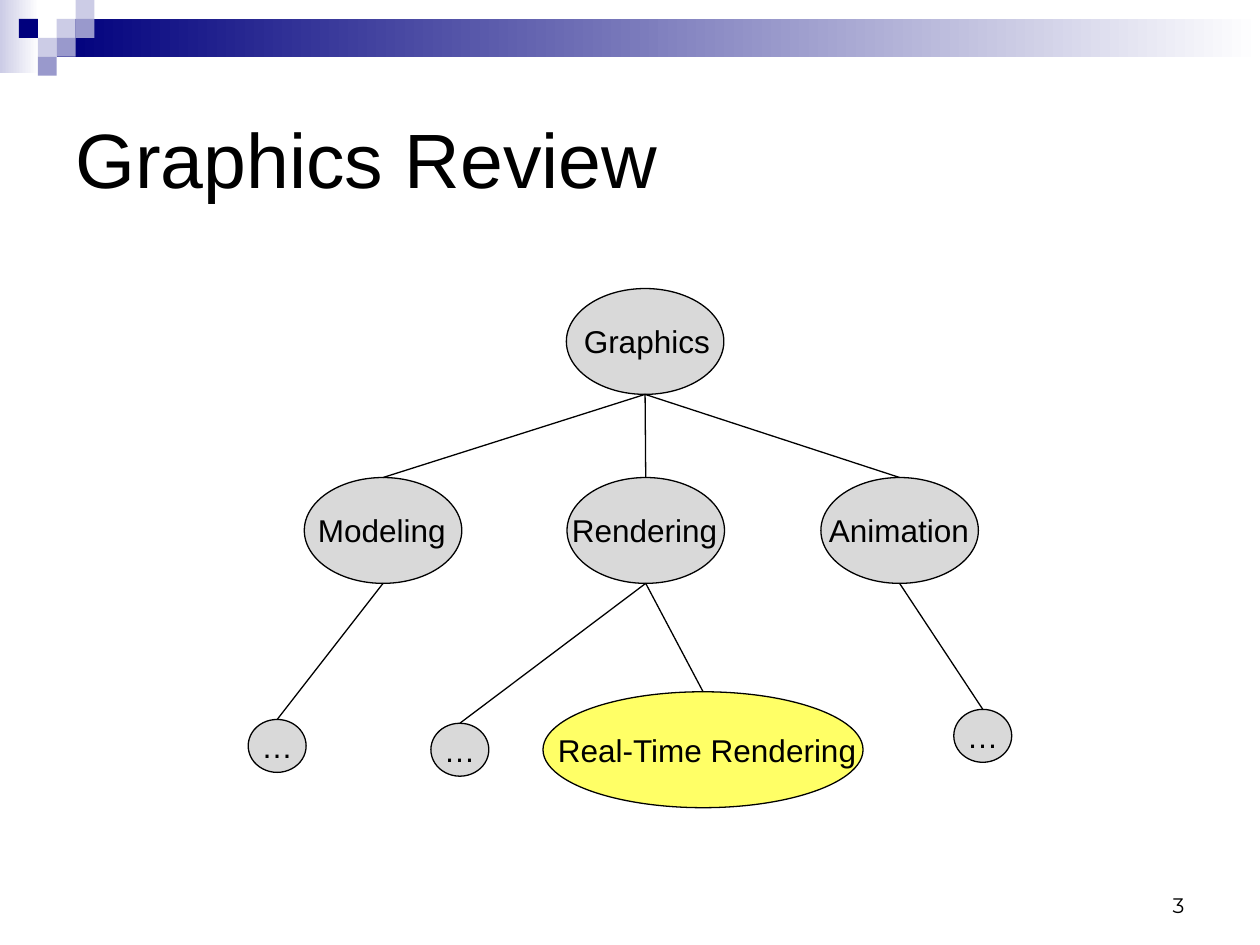
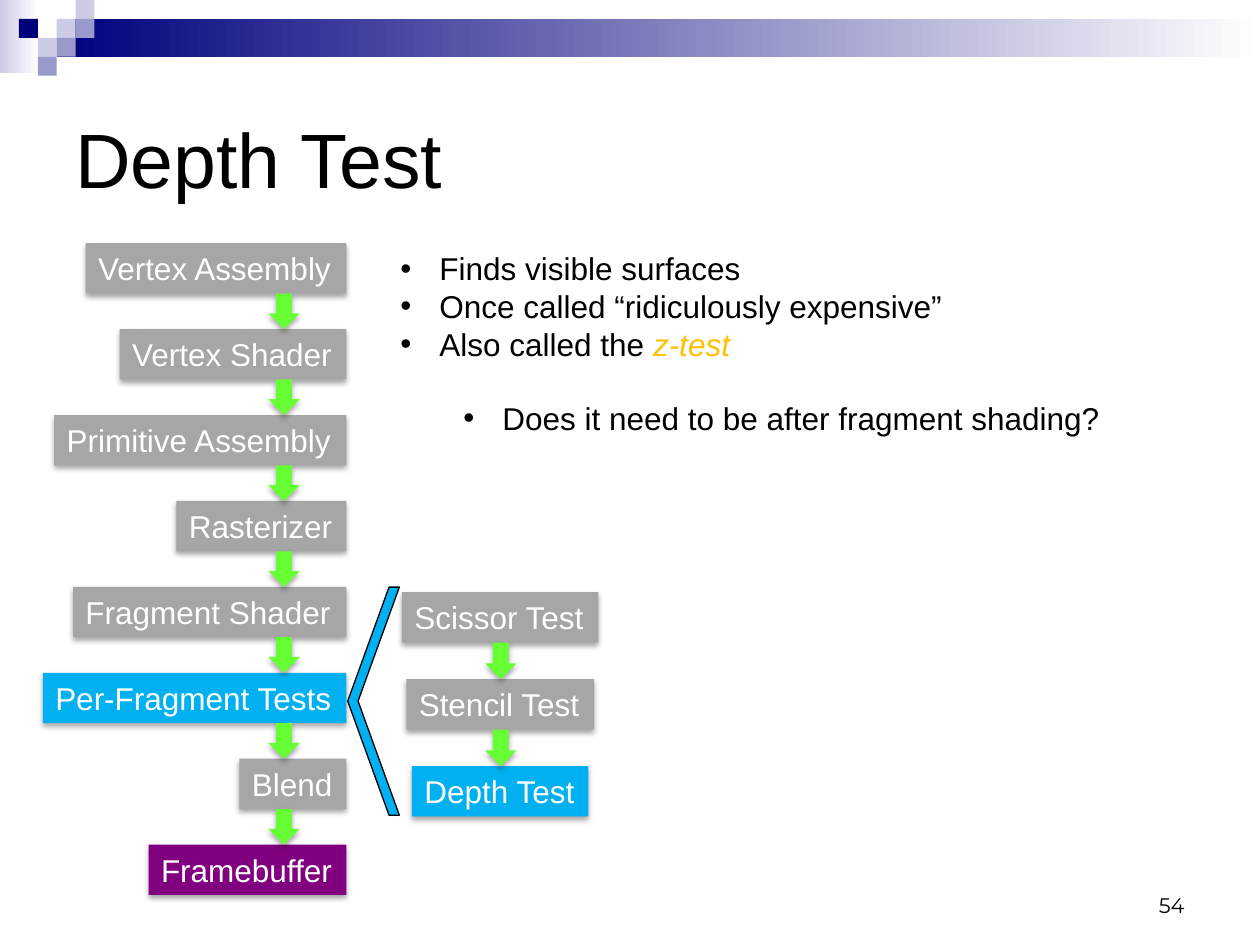
import lxml.etree
import pptx
import pptx.dml.color
import pptx.enum.shapes
import pptx.enum.text
import pptx.oxml.ns
import pptx.util

RGB = pptx.dml.color.RGBColor
BLACK = RGB(0x00, 0x00, 0x00)
WHITE = RGB(0xFF, 0xFF, 0xFF)
NAVY = RGB(0x00, 0x00, 0x7D)
LAVENDER = RGB(0xCC, 0xCC, 0xE6)
PERIWINKLE = RGB(0x99, 0x99, 0xCC)
LIGHT_GRAY = RGB(0xD9, 0xD9, 0xD9)
GRAY = RGB(0xA6, 0xA6, 0xA6)
YELLOW = RGB(0xFF, 0xFF, 0x66)
AMBER = RGB(0xFF, 0xC0, 0x00)
BLUE = RGB(0x00, 0xB0, 0xF0)
PURPLE = RGB(0x80, 0x00, 0x80)
GREEN = RGB(0x66, 0xFF, 0x33)

COLS, ROWS = 100, 75  # grid in which every position is given
LABEL_H = 4           # height of a one-line label, in rows
SHAPE = pptx.enum.shapes.MSO_SHAPE
ANCHOR = pptx.enum.text.MSO_ANCHOR
ALIGN = pptx.enum.text.PP_ALIGN
qn = pptx.oxml.ns.qn


def add_run(p, text, size=18, color=BLACK, font="Arial", italic=False):
    r = p.add_run()
    r.text = text
    r.font.size = pptx.util.Pt(size)
    r.font.name = font
    r.font.italic = italic
    r.font.color.rgb = color


class Deck:
    """Holds the shared style and the slide being drawn."""

    def __init__(self):
        self.prs = pptx.Presentation()
        self.prs.slide_width = pptx.util.Inches(10)
        self.prs.slide_height = pptx.util.Inches(7.5)
        self.slide = None

    def grid(self, x, y):
        return (round(x * self.prs.slide_width / COLS),
                round(y * self.prs.slide_height / ROWS))

    def new_slide(self, title, number):
        self.slide = self.prs.slides.add_slide(self.prs.slide_layouts[6])
        # Gradient bands and the small squares at the top left
        self.shape(SHAPE.RECTANGLE, 0, 0, 3.1, 5.8, [LAVENDER, WHITE])
        self.shape(SHAPE.RECTANGLE, 4.5, 1.5, 95.5, 3, [NAVY, WHITE])
        side = 1.5
        squares = {LAVENDER: [(3, 1), (4, 0), (2, 2)],
                   PERIWINKLE: [(4, 1), (3, 2), (2, 3)],
                   NAVY: [(1, 1)]}
        for color, cells in squares.items():
            for col, row in cells:
                self.shape(SHAPE.RECTANGLE, col * side, row * side, side, side, color)
        # Title and slide number
        tf = self.text_box(5, 5, 90, 15, anchor=ANCHOR.MIDDLE)
        add_run(tf.paragraphs[0], title, size=44)
        tf = self.text_box(71.7, 68.3, 23.3, 5, anchor=ANCHOR.BOTTOM)
        tf.paragraphs[0].alignment = ALIGN.RIGHT
        add_run(tf.paragraphs[0], str(number), size=12, font="Montserrat")

    def shape(self, kind, x, y, w, h, fill, outline=False, shadow=False):
        """Preset shape; fill is one colour, or a list of two for a gradient."""
        sp = self.slide.shapes.add_shape(kind, *self.grid(x, y), *self.grid(w, h))
        if isinstance(fill, list):
            sp.fill.gradient()
            sp.fill.gradient_angle = 0
            for stop, color in zip(sp.fill.gradient_stops, fill):
                stop.color.rgb = color
        else:
            sp.fill.solid()
            sp.fill.fore_color.rgb = fill
        if outline:
            sp.line.color.rgb = BLACK
            sp.line.width = pptx.util.Pt(0.75)
        else:
            sp.line.fill.background()
        sp.shadow.inherit = False
        if shadow:
            effects = sp._element.spPr.find(qn("a:effectLst"))
            outer = lxml.etree.SubElement(effects, qn("a:outerShdw"), blurRad="40000",
                                          dist="23000", dir="5400000", rotWithShape="0")
            color = lxml.etree.SubElement(outer, qn("a:srgbClr"), val=str(BLACK))
            lxml.etree.SubElement(color, qn("a:alpha"), val="35000")
        return sp

    def text_box(self, x, y, w, h, anchor=ANCHOR.TOP, wrap=True):
        sp = self.slide.shapes.add_textbox(*self.grid(x, y), *self.grid(w, h))
        tf = sp.text_frame
        tf.word_wrap = wrap
        tf.vertical_anchor = anchor
        return tf

    def line(self, start, end):
        cx = self.slide.shapes.add_connector(
            pptx.enum.shapes.MSO_CONNECTOR.STRAIGHT, *self.grid(*start), *self.grid(*end))
        cx.line.color.rgb = BLACK
        cx.line.width = pptx.util.Pt(0.75)
        lxml.etree.SubElement(cx._element.spPr, qn("a:effectLst"))

    def node(self, text, cx, y, w, h, label_w, fill=LIGHT_GRAY, shift=0):
        """Ellipse with a centred label; returns its top and bottom points."""
        self.shape(SHAPE.OVAL, cx - w / 2, y, w, h, fill, outline=True)
        tf = self.text_box(cx - label_w / 2 + shift, y + (h - LABEL_H) / 2,
                           label_w, LABEL_H, wrap=False)
        add_run(tf.paragraphs[0], text)
        return (cx, y), (cx, y + h)

    def stack(self, stages, edge, share, y, pitch, arrow_x):
        """Column of stages joined by arrows; share of each width lies left of edge."""
        for i, (text, w, fill) in enumerate(stages):
            sp = self.shape(SHAPE.RECTANGLE, edge - w * share, y + i * pitch,
                            w, LABEL_H, fill, shadow=True)
            tf = sp.text_frame
            tf.word_wrap = False
            tf.vertical_anchor = ANCHOR.TOP
            tf.paragraphs[0].alignment = ALIGN.LEFT
            add_run(tf.paragraphs[0], text, color=WHITE)
        for i in range(len(stages) - 1):
            self.shape(SHAPE.DOWN_ARROW, arrow_x, y + i * pitch + LABEL_H,
                       2.5, pitch - LABEL_H, GREEN, shadow=True)

    def bullets(self, x, y, w, h, items):
        """Each item is (level, space before in points, [(text, format), ...])."""
        tf = self.text_box(x, y, w, h)
        hang = pptx.util.Inches(0.31)
        for i, (level, gap, runs) in enumerate(items):
            p = tf.add_paragraph() if i else tf.paragraphs[0]
            p.level = level
            if gap:
                p.space_before = pptx.util.Pt(gap)
            pPr = p._p.get_or_add_pPr()
            pPr.set("marL", str(hang + level * pptx.util.Inches(0.5)))
            pPr.set("indent", str(-hang))
            lxml.etree.SubElement(pPr, qn("a:buFont"), typeface="Arial")
            lxml.etree.SubElement(pPr, qn("a:buChar"), char="•")
            for text, style in runs:
                add_run(p, text, **style)


def graphics_review(deck):
    deck.new_slide("Graphics Review", 3)
    topic, dots = (12.5, 8.4), (4.6, 4.2)
    # Topics, level by level
    graphics = deck.node("Graphics", 51.2, 22.9, *topic, 12.1, shift=0.2)
    rendering = deck.node("Rendering", 51.25, 37.9, *topic, 13.7)
    modeling = deck.node("Modeling", 30.4, 37.9, *topic, 12.3)
    animation = deck.node("Animation", 71.4, 37.9, *topic, 13.2)
    real_time = deck.node("Real-Time Rendering", 55.8, 54.9, 25.4, 9.2, 25.9,
                          fill=YELLOW, shift=0.45)
    more_modeling = deck.node("…", 22, 57.1, *dots, 4.5)
    more_animation = deck.node("…", 78, 56.3, *dots, 4.5)
    more_rendering = deck.node("…", 36.5, 57.4, *dots, 4.5)
    # Branches from the bottom of a parent to the top of each child
    branches = [(graphics, (modeling, rendering, animation)),
                (animation, (more_animation,)),
                (rendering, (real_time, more_rendering)),
                (modeling, (more_modeling,))]
    for parent, children in branches:
        for child in children:
            deck.line(parent[1], child[0])


def depth_test(deck):
    deck.new_slide("Depth Test", 54)
    # Pipeline, aligned on its right edge
    deck.stack([("Vertex Assembly", 20.7, GRAY),
                ("Vertex Shader", 18, GRAY),
                ("Primitive Assembly", 23.2, GRAY),
                ("Rasterizer", 13.5, GRAY),
                ("Fragment Shader", 21.7, GRAY),
                ("Per-Fragment Tests", 24.1, BLUE),
                ("Blend", 8.5, GRAY),
                ("Framebuffer", 15.7, PURPLE)],
               edge=27.5, share=1, y=19.3, pitch=6.82, arrow_x=21.3)
    deck.bullets(30.8, 19.3, 65, 28.3, [
        (0, 0, [("Finds visible surfaces", {})]),
        (0, 0, [("Once called “ridiculously expensive”", {})]),
        (0, 0, [("Also called the ", {}), ("z-test", dict(color=AMBER, italic=True))]),
        (1, 20.7, [("Does it need to be after fragment shading?", {})])])
    # Tests inside the per-fragment stage, centred
    deck.stack([("Scissor Test", 15.6, GRAY),
                ("Stencil Test", 14.9, GRAY),
                ("Depth Test", 14, BLUE)],
               edge=39.7, share=0.5, y=47, pitch=6.9, arrow_x=38.5)
    bracket = deck.shape(SHAPE.CHEVRON, 27.6, 46.6, 4.1, 18.1, BLUE, outline=True)
    bracket.adjustments[0] = 0.8
    bracket._element.spPr.find(qn("a:xfrm")).set("flipH", "1")


def main():
    deck = Deck()
    graphics_review(deck)
    depth_test(deck)
    deck.prs.save("out.pptx")


if __name__ == "__main__":
    main()
